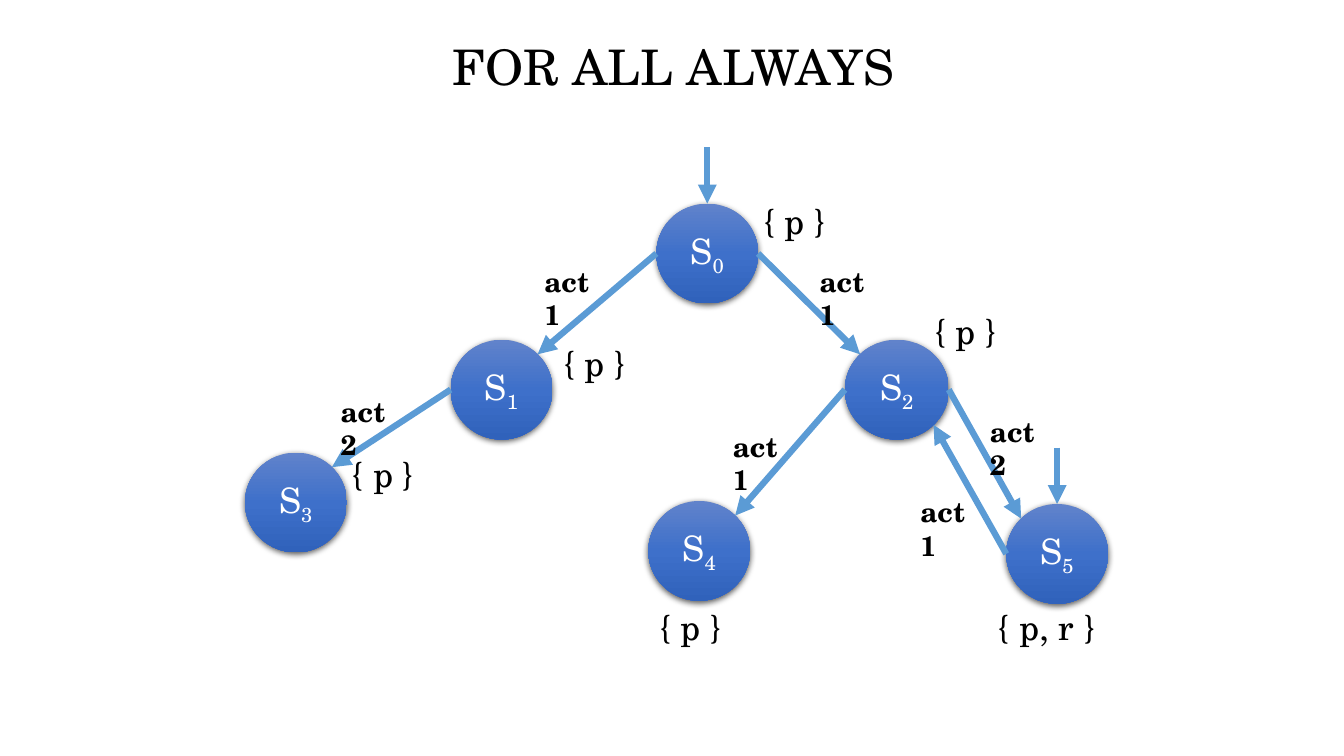
import math

import pptx
import pptx.dml.color
import pptx.enum.shapes
import pptx.enum.text
import pptx.oxml
import pptx.oxml.ns
import pptx.util
from pptx.dml.color import RGBColor
from pptx.util import Inches, Pt

FONT = "TeX Gyre Schola"
BLACK = RGBColor(0x00, 0x00, 0x00)
WHITE = RGBColor(0xFF, 0xFF, 0xFF)
ARROW = RGBColor(0x5B, 0x9B, 0xD5)
GRADIENT = [(0, "6183CB"), (50, "3E70CA"), (100, "3062BB")]

TITLE = ("FOR ALL ALWAYS", 4.3, 0.31, 4.76, 0.69)

# number: (left, top, width), (proposition, left, top, width)
STATES = {
    0: ((6.51, 2.02, 1.01), ("{ p }", 7.47, 1.93, 0.99)),
    1: ((4.47, 3.37, 1.01), ("{ p }", 5.49, 3.34, 0.99)),
    2: ((8.38, 3.37, 1.03), ("{ p }", 9.17, 3.02, 0.99)),
    3: ((2.43, 4.49, 1.01), ("{ p }", 3.39, 4.44, 0.99)),
    4: ((6.43, 4.97, 1.01), ("{ p }", 6.44, 5.96, 0.99)),
    5: ((9.98, 5.0, 1.01), ("{ p, r }", 9.8, 5.96, 1.37)),
}
STATE_H = 0.99
PROP_H = 0.52
INITIAL_STATES = [0, 5]
ENTRY_LENGTH = 0.56

# Directions on a state's rim, in degrees clockwise from the right
RIGHT, LOWER_RIGHT, LEFT, UPPER_LEFT, TOP, UPPER_RIGHT = 0, 45, 180, 225, 270, 315

# (from state, side), (to state, side), (action, left, top)
TRANSITIONS = [
    ((0, LEFT), (1, UPPER_RIGHT), ("act1", 5.3, 2.57)),
    ((0, RIGHT), (2, UPPER_LEFT), ("act1", 8.03, 2.57)),
    ((1, LEFT), (3, UPPER_RIGHT), ("act2", 3.28, 3.86)),
    ((2, LEFT), (4, UPPER_RIGHT), ("act1", 7.17, 4.21)),
    ((2, RIGHT), (5, UPPER_LEFT), ("act2", 9.72, 4.06)),
    ((5, LEFT), (2, LOWER_RIGHT), ("act1", 9.03, 4.86)),
]
ACTION_W, ACTION_H = 0.72, 0.44


def rim_point(state, degrees):
    left, top, width = STATES[state][0]
    angle = math.radians(degrees)
    return (left + width / 2 * (1 + math.cos(angle)),
            top + STATE_H / 2 * (1 + math.sin(angle)))


def add_xml(parent, tag, **attributes):
    child = pptx.oxml.parse_xml(
        f'<a:{tag} xmlns:a="http://schemas.openxmlformats.org/drawingml/2006/main"/>')
    for name, value in attributes.items():
        child.set(name, str(value))
    parent.append(child)
    return child


def add_text(s, text, left, top, width, height, size, bold=False, centred=False):
    box = s.shapes.add_textbox(*map(Inches, (left, top, width, height)))
    tf = box.text_frame
    tf.word_wrap = True
    tf.auto_size = pptx.enum.text.MSO_AUTO_SIZE.SHAPE_TO_FIT_TEXT
    p = tf.paragraphs[0]
    p.text = text
    if centred:
        p.alignment = pptx.enum.text.PP_ALIGN.CENTER
    p.font.name = FONT
    p.font.size = Pt(size)
    p.font.bold = bold
    p.font.color.rgb = BLACK


def add_state(s, number, left, top, width):
    """Shaded circle with a soft shadow, labelled S with a subscript."""
    sp = s.shapes.add_shape(pptx.enum.shapes.MSO_SHAPE.OVAL,
                            *map(Inches, (left, top, width, STATE_H)))
    sp.line.fill.background()
    sp.fill.gradient()
    sp.fill.gradient_angle = 270
    props = sp.fill._xPr
    stops = props.find(".//" + pptx.oxml.ns.qn("a:gsLst"))
    stops.clear()
    for percent, colour in GRADIENT:
        stop = add_xml(stops, "gs", pos=percent * 1000)
        add_xml(stop, "srgbClr", val=colour)

    sp.shadow.inherit = False
    effects = props.find(pptx.oxml.ns.qn("a:effectLst"))
    shadow = add_xml(effects, "outerShdw", blurRad=Pt(4.5), dist=Pt(1.5),
                     dir=5400000, algn="ctr", rotWithShape=0)
    add_xml(add_xml(shadow, "srgbClr", val="000000"), "alpha", val=63000)

    tf = sp.text_frame
    tf.vertical_anchor = pptx.enum.text.MSO_ANCHOR.MIDDLE
    p = tf.paragraphs[0]
    p.alignment = pptx.enum.text.PP_ALIGN.CENTER
    p.font.name = FONT
    p.font.size = Pt(25)
    p.font.color.rgb = WHITE
    p.add_run().text = "S"
    r = p.add_run()
    r.text = str(number)
    r.font._element.set("baseline", "-25000")


def add_arrow(s, start, end):
    line = s.shapes.add_connector(pptx.enum.shapes.MSO_CONNECTOR.STRAIGHT,
                                  *map(Inches, (*start, *end)))
    line.line.color.rgb = ARROW
    line.line.width = Pt(4.5)
    add_xml(line.line._get_or_add_ln(), "tailEnd", type="triangle")
    add_xml(line._element.spPr, "effectLst")


def main():
    prs = pptx.Presentation()
    prs.slide_width, prs.slide_height = Inches(13.33), Inches(7.5)
    s = prs.slides.add_slide(prs.slide_layouts[6])

    add_text(s, *TITLE, size=35, centred=True)
    for number, (circle, proposition) in STATES.items():
        add_state(s, number, *circle)
        add_text(s, *proposition, PROP_H, size=25)
    for state in INITIAL_STATES:
        x, y = rim_point(state, TOP)
        add_arrow(s, (x, y - ENTRY_LENGTH), (x, y))
    for source, target, _ in TRANSITIONS:
        add_arrow(s, rim_point(*source), rim_point(*target))
    for _, _, action in TRANSITIONS:
        add_text(s, *action, ACTION_W, ACTION_H, size=20, bold=True)

    prs.save("out.pptx")


if __name__ == "__main__":
    main()
